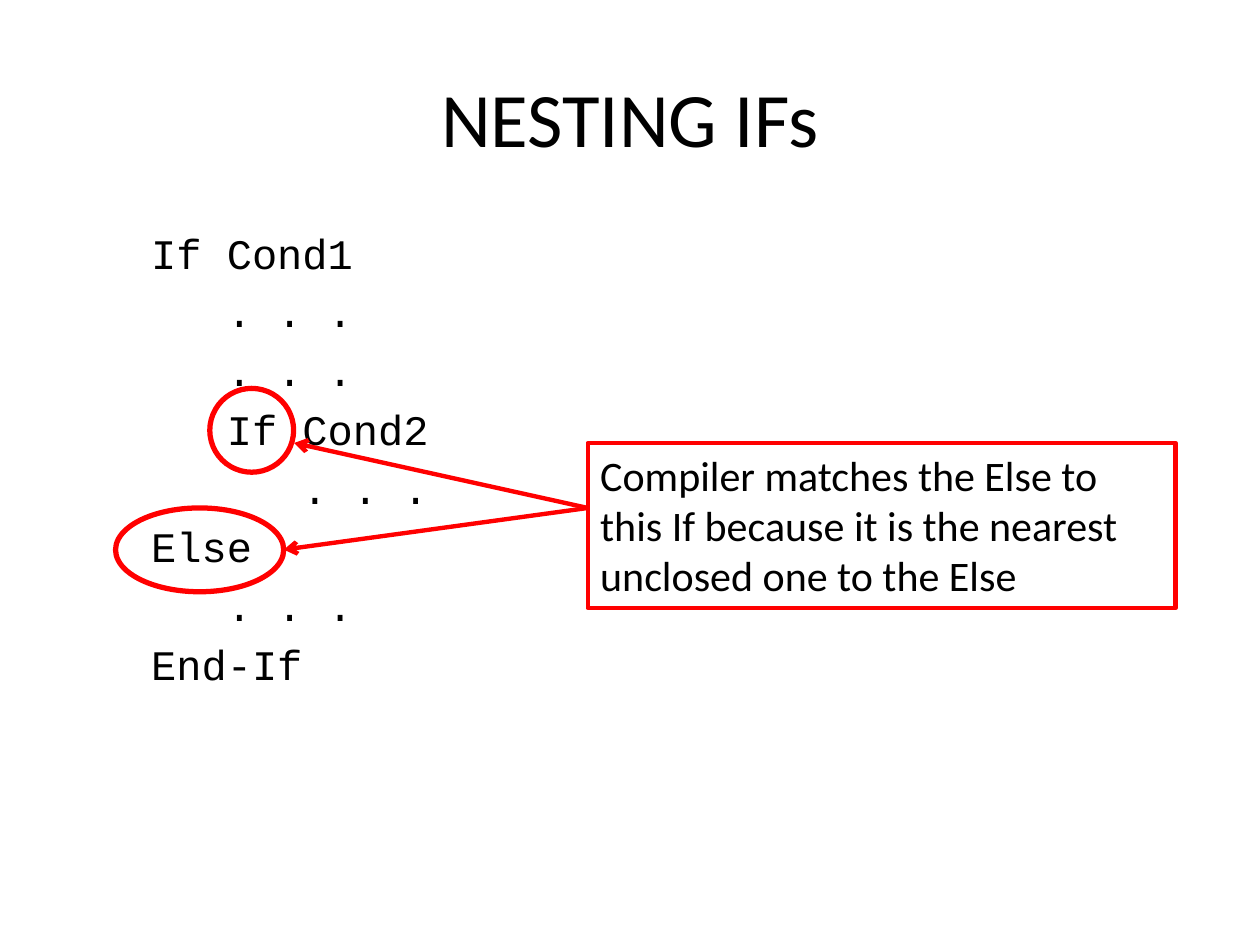
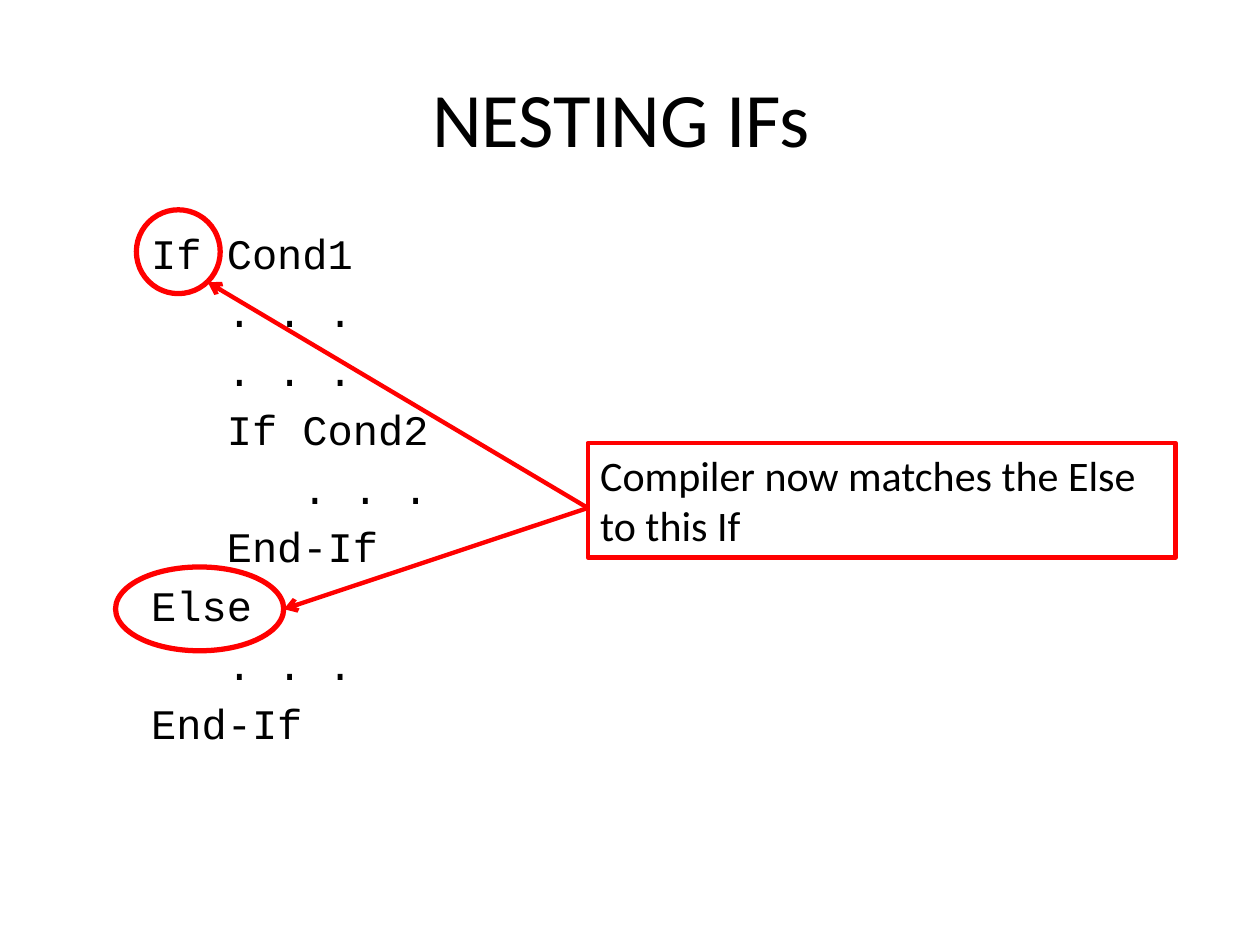
"""Build two slides on how the compiler pairs an Else with an If."""
import dataclasses
import typing

import pptx
import pptx.dml.color
import pptx.enum.shapes
import pptx.enum.text
import pptx.oxml
import pptx.oxml.ns
import pptx.util

Cm = pptx.util.Cm
Pt = pptx.util.Pt
Align = pptx.enum.text.PP_ALIGN
Fit = pptx.enum.text.MSO_AUTO_SIZE
Anchor = pptx.enum.text.MSO_ANCHOR
Kind = pptx.enum.shapes.MSO_SHAPE
Spot = tuple[float, float]


@dataclasses.dataclass(frozen=True)
class Theme:
    ink: str = "000000"
    mark: str = "FF0000"
    sans: str = "Calibri"
    mono: str = "Courier New"
    head: float = 44
    body: float = 24
    ring: float = 3
    line: float = 2.5
    step: float = 1.524


@dataclasses.dataclass(frozen=True)
class Box:
    left: float
    top: float
    width: float
    height: float

    def place(self) -> tuple[pptx.util.Length, ...]:
        return tuple(Cm(n) for n in dataclasses.astuple(self))


class Code(typing.NamedTuple):
    depth: int
    text: str


@dataclasses.dataclass(frozen=True)
class Page:
    title: str
    code: list[Code]
    rings: list[Box]
    note: str
    high: float
    tips: list[Spot]


THEME = Theme()
HEAD = Box(1.27, 0.76, 22.86, 3.18)
BODY = Box(1.27, 4.45, 22.86, 12.57)
NOTE = Box(11.85, 8.93, 11.85, 3.33)
START: Spot = (11.85, 10.24)
DOTS = ". . ."
OPEN = [Code(1, "If Cond1"), Code(2, DOTS), Code(2, DOTS),
        Code(2, "If Cond2"), Code(3, DOTS)]
CLOSE = [Code(1, "Else"), Code(2, DOTS), Code(1, "End-If")]

PAGES = [
    Page("NESTING IFs", OPEN + CLOSE,
         [Box(4.23, 7.83, 1.69, 1.69), Box(2.33, 10.24, 3.39, 1.69)],
         "Compiler matches the Else to this If because it is "
         "the nearest unclosed one to the Else",
         3.33, [(5.93, 8.93), (5.72, 11.08)]),
    Page("NESTING IFs ", OPEN + [Code(2, "End-If")] + CLOSE,
         [Box(2.75, 4.23, 1.69, 1.69), Box(2.33, 11.43, 3.39, 1.69)],
         "Compiler now matches the Else to this If",
         2.31, [(4.19, 5.69), (5.72, 12.28)]),
]


def color(code: str) -> pptx.dml.color.RGBColor:
    return pptx.dml.color.RGBColor.from_string(code)


def write(par, text: str, *, font: str = THEME.sans,
          size: float = THEME.body, ink: str = THEME.ink,
          align: Align = Align.LEFT) -> None:
    par.alignment = align
    run = par.add_run()
    run.text = text
    run.font.name = font
    run.font.size = Pt(size)
    run.font.color.rgb = color(ink)


def move(shape, box: Box) -> None:
    shape.left, shape.top, shape.width, shape.height = box.place()


def stroke(line, width: float) -> None:
    line.color.rgb = color(THEME.mark)
    line.width = Pt(width)


def frame(slide, kind: Kind, box: Box, width: float):
    shape = slide.shapes.add_shape(kind, *box.place())
    shape.shadow.inherit = False
    shape.fill.background()
    stroke(shape.line, width)
    return shape


def arrow(slide, start: Spot, end: Spot) -> None:
    link = slide.shapes.add_connector(
        pptx.enum.shapes.MSO_CONNECTOR.STRAIGHT,
        *(Cm(n) for n in start + end))
    stroke(link.line, THEME.line)
    props = link._element.spPr
    tip = pptx.oxml.ns.qn("a:tailEnd")
    props.find(pptx.oxml.ns.qn("a:ln")).makeelement(tip)
    line = props.find(pptx.oxml.ns.qn("a:ln"))
    line.append(line.makeelement(tip, {"type": "arrow"}))
    props.append(props.makeelement(pptx.oxml.ns.qn("a:effectLst")))


def indent(par, depth: int) -> None:
    props = par._p.get_or_add_pPr()
    props.set("marL", str(int(Cm(depth * THEME.step))))
    props.set("indent", "0")
    props.append(props.makeelement(pptx.oxml.ns.qn("a:buNone")))


def listing(shape, code: list[Code]) -> None:
    move(shape, BODY)
    text = shape.text_frame
    text.auto_size = Fit.NONE
    for row, item in enumerate(code):
        par = text.add_paragraph() if row else text.paragraphs[0]
        write(par, item.text, font=THEME.mono)
        indent(par, item.depth)


def note(slide, page: Page) -> None:
    box = dataclasses.replace(NOTE, height=page.high)
    shape = frame(slide, Kind.RECTANGLE, box, THEME.line)
    text = shape.text_frame
    text.word_wrap = True
    text.auto_size = Fit.SHAPE_TO_FIT_TEXT
    text.vertical_anchor = Anchor.TOP
    write(text.paragraphs[0], page.note)


def draw(deck, page: Page) -> None:
    slide = deck.slides.add_slide(deck.slide_layouts[1])
    title = slide.shapes.title
    move(title, HEAD)
    title.text_frame.vertical_anchor = Anchor.MIDDLE
    write(title.text_frame.paragraphs[0], page.title,
          size=THEME.head, align=Align.CENTER)
    listing(slide.placeholders[1], page.code)
    for ring in page.rings:
        frame(slide, Kind.OVAL, ring, THEME.ring)
    note(slide, page)
    for tip in page.tips:
        arrow(slide, START, tip)


def main() -> None:
    deck = pptx.Presentation()
    deck.slide_width, deck.slide_height = Cm(25.4), Cm(19.05)
    for page in PAGES:
        draw(deck, page)
    deck.save("out.pptx")


main()
